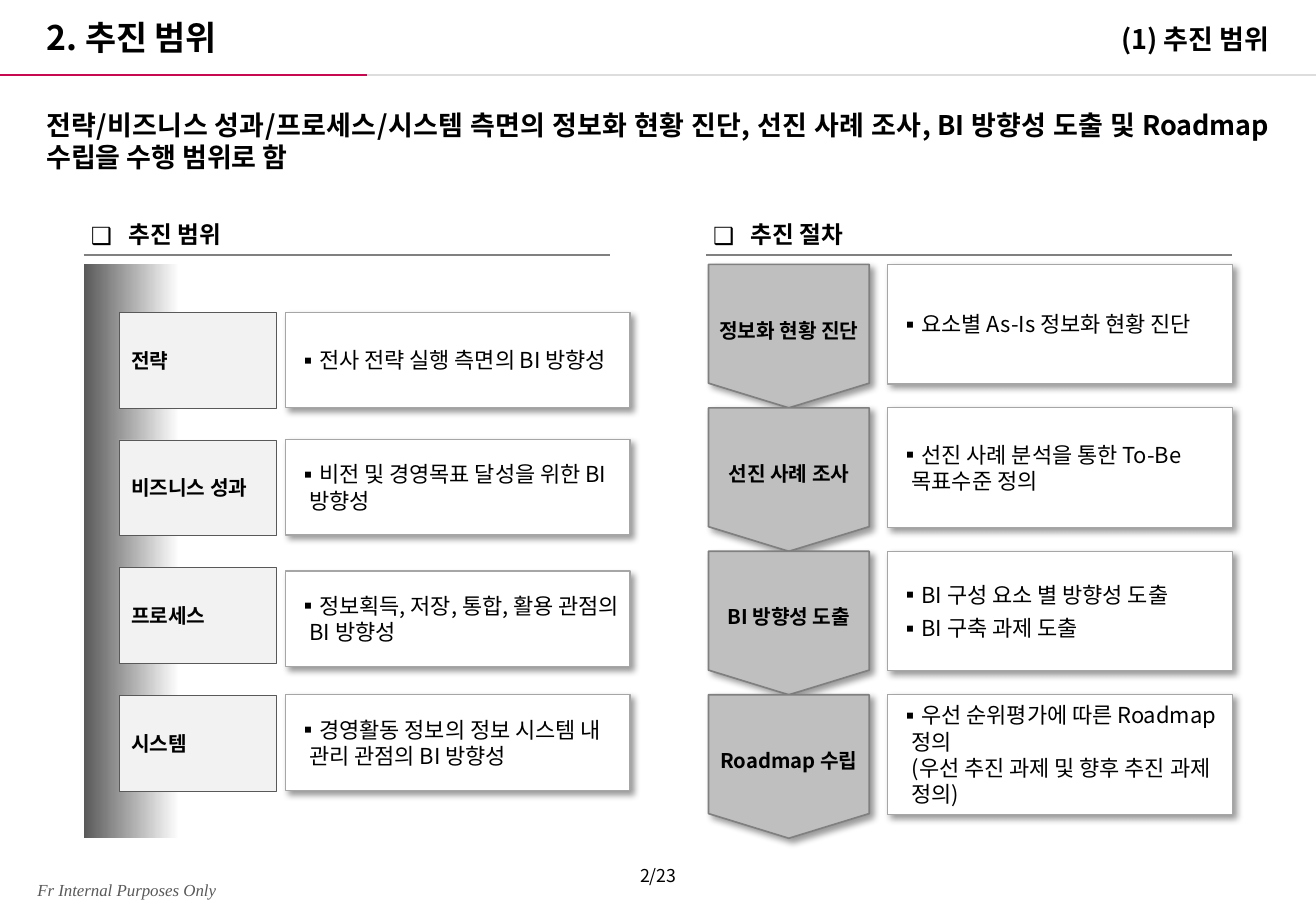
from lxml import etree
from pptx import Presentation
from pptx import util as u
from pptx.dml.color import RGBColor
from pptx.enum import shapes, text
from pptx.oxml import parse_xml
from pptx.oxml.ns import nsdecls, qn

TITLE = "2. 추진 범위"
SUBTITLE = "(1) 추진 범위"
MESSAGE = ("전략/비즈니스 성과/프로세스/시스템 측면의 정보화 현황 진단, 선진 사례 조사, "
           "BI 방향성 도출 및 Roadmap 수립을 수행 범위로 함")
HEADINGS = [("추진 범위", 1.75), ("추진 절차", 14.76)]
SCOPES = [
    ("전략", "전사 전략 실행 측면의 BI 방향성", 6.53),
    ("비즈니스 성과", "비전 및 경영목표 달성을 위한 BI 방향성", 9.19),
    ("프로세스", "정보획득, 저장, 통합, 활용 관점의 BI 방향성", 11.94),
    ("시스템", "경영활동 정보의 정보 시스템 내 관리 관점의 BI 방향성", 14.53),
]
STEPS = [
    ("정보화 현황 진단", "요소별 As-Is 정보화 현황 진단"),
    ("선진 사례 조사", "선진 사례 분석을 통한 To-Be 목표수준 정의"),
    ("BI 방향성 도출", "BI 구성 요소 별 방향성 도출\nBI 구축 과제 도출"),
    ("Roadmap 수립", "우선 순위평가에 따른 Roadmap 정의\v(우선 추진 과제 및 향후 추진 과제 정의)"),
]
PAGE = "2/23"
NOTICE = "Fr Internal Purposes Only"

KOREAN = "Noto Sans CJK KR"
BLACK = RGBColor(0, 0, 0)
WHITE = RGBColor(255, 255, 255)
CRIMSON = RGBColor(0xC7, 0x09, 0x52)
PALE = RGBColor(0xDD, 0xDD, 0xDD)
GRAY = RGBColor(0x80, 0x80, 0x80)
DARK = RGBColor(0x59, 0x59, 0x59)
SILVER = RGBColor(0xBF, 0xBF, 0xBF)
EDGE = RGBColor(0xA6, 0xA6, 0xA6)
LABEL_FILL = RGBColor(0xF2, 0xF2, 0xF2)
LEFT, CENTER, RIGHT, JUSTIFY = (text.PP_ALIGN.LEFT, text.PP_ALIGN.CENTER,
                                text.PP_ALIGN.RIGHT, text.PP_ALIGN.JUSTIFY)
TOP, MIDDLE, BOTTOM = text.MSO_ANCHOR.TOP, text.MSO_ANCHOR.MIDDLE, text.MSO_ANCHOR.BOTTOM
SIDE_INSETS = (0.25, 0.13, 0.25, 0.13)
BOX_INSETS = (0.25, 0, 0.2, 0)
RECTANGLE = shapes.MSO_SHAPE.RECTANGLE

presentation = Presentation()
presentation.slide_width, presentation.slide_height = u.Cm(27.51), u.Cm(19.05)
slide = presentation.slides.add_slide(presentation.slide_layouts[5])


def write(shape, content, size, bold=False, align=LEFT, anchor=MIDDLE, font=KOREAN,
          color=BLACK, italic=False, insets=SIDE_INSETS, bullet=None, indent=0, wrap=True):
    frame = shape.text_frame
    frame.text = content
    frame.word_wrap = wrap
    frame.auto_size = text.MSO_AUTO_SIZE.NONE
    frame.vertical_anchor = anchor
    (frame.margin_left, frame.margin_top,
     frame.margin_right, frame.margin_bottom) = map(u.Cm, insets)
    for index, paragraph in enumerate(frame.paragraphs):
        paragraph.alignment = align
        paragraph.space_before = u.Pt(4 if index else 0)
        if bullet:
            properties = paragraph._p.get_or_add_pPr()
            properties.set("marL", str(u.Cm(indent)))
            properties.set("indent", str(-u.Cm(indent)))
            etree.SubElement(properties, qn("a:buFont")).set("typeface", KOREAN)
            etree.SubElement(properties, qn("a:buChar")).set("char", bullet)
        for run in paragraph.runs:
            run.font.size, run.font.bold, run.font.italic = u.Pt(size), bold, italic
            run.font.name, run.font.color.rgb = font, color
            etree.SubElement(run._r.rPr, qn("a:ea")).set("typeface", KOREAN)


def add_text(left, top, width, height, content, size, **style):
    box = slide.shapes.add_textbox(u.Cm(left), u.Cm(top), u.Cm(width), u.Cm(height))
    write(box, content, size, **style)


def add_block(kind, left, top, width, height, fill, line, weight, shadow=False):
    shape = slide.shapes.add_shape(kind, u.Cm(left), u.Cm(top), u.Cm(width), u.Cm(height))
    shape.shadow.inherit = False
    shape.fill.solid()
    shape.fill.fore_color.rgb = fill
    shape.line.color.rgb, shape.line.width = line, u.Pt(weight)
    if shadow:
        effects = shape._element.spPr.find(qn("a:effectLst"))
        effects.append(parse_xml(
            f'<a:outerShdw {nsdecls("a")} blurRad="50800" dist="38100" dir="2700000" '
            'algn="tl" rotWithShape="0"><a:srgbClr val="000000">'
            '<a:alpha val="40000"/></a:srgbClr></a:outerShdw>'))
    return shape


def add_rule(left, right, height, color):
    rule = slide.shapes.add_connector(shapes.MSO_CONNECTOR.STRAIGHT, u.Cm(left),
                                      u.Cm(height), u.Cm(right), u.Cm(height))
    rule.line.color.rgb, rule.line.width = color, u.Pt(1.5)
    etree.SubElement(rule._element.spPr, qn("a:effectLst"))


def add_detail(left, top, height, content):
    box = add_block(RECTANGLE, left, top, 7.2, height, WHITE, EDGE, 0.75, shadow=True)
    write(box, content, 13, insets=BOX_INSETS, bullet="▪", indent=0.25)


add_rule(0, 7.67, 1.57, CRIMSON)
add_rule(7.67, 27.51, 1.57, PALE)
title = slide.shapes.title
title.left, title.top, title.width, title.height = map(u.Cm, (0.72, 0.18, 15.04, 1.14))
write(title, TITLE, 20, bold=True, anchor=BOTTOM)
add_text(17.45, 0.13, 9.33, 1.14, SUBTITLE, 16, bold=True, align=RIGHT, anchor=BOTTOM)
add_text(0.72, 2.13, 26.06, 1.7, MESSAGE, 16, bold=True, align=JUSTIFY, anchor=TOP)

for heading, left in HEADINGS:
    add_text(left + 0.15, 4.6, 10.85, 0.61, heading, 14, bold=True,
             insets=(0, 0, 0, 0), bullet="❑", indent=0.79)
    add_rule(left, left + 11, 5.33, GRAY)

band = add_block(RECTANGLE, 1.75, 5.52, 2, 12.01, WHITE, WHITE, 0.25)
band.line.fill.background()
band.fill.gradient()
band.fill.gradient_angle = 0
for stop, color in zip(band.fill.gradient_stops, (DARK, WHITE)):
    stop.color.rgb = color

for index, (name, detail, detail_top) in enumerate(SCOPES):
    label = add_block(RECTANGLE, 2.49, 6.53 + index * 2.67, 3.28, 2, LABEL_FILL, DARK, 0.25)
    write(label, name, 12, bold=True, font="Arial")
    add_detail(5.97, detail_top, 2, detail)

for index, (name, detail) in enumerate(STEPS):
    top = 5.53 + index * 3
    arrow = add_block(shapes.MSO_SHAPE.PENTAGON, 14.99, top - 0.18, 3, 3.36,
                      SILVER, GRAY, 1, shadow=True)
    arrow.rotation = 90
    arrow.adjustments[0] = 0.172
    write(arrow, name, 12, bold=True, align=CENTER, wrap=False)
    arrow.text_frame._txBody.bodyPr.set("vert", "vert270")
    add_detail(18.56, top, 2.5, detail)

add_text(11.76, 17.93, 4, 0.74, PAGE, 10.5, align=CENTER)
add_text(0.53, 18.26, 6.81, 0.69, NOTICE, 10, font="Times New Roman", color=DARK, italic=True)

presentation.save("out.pptx")
